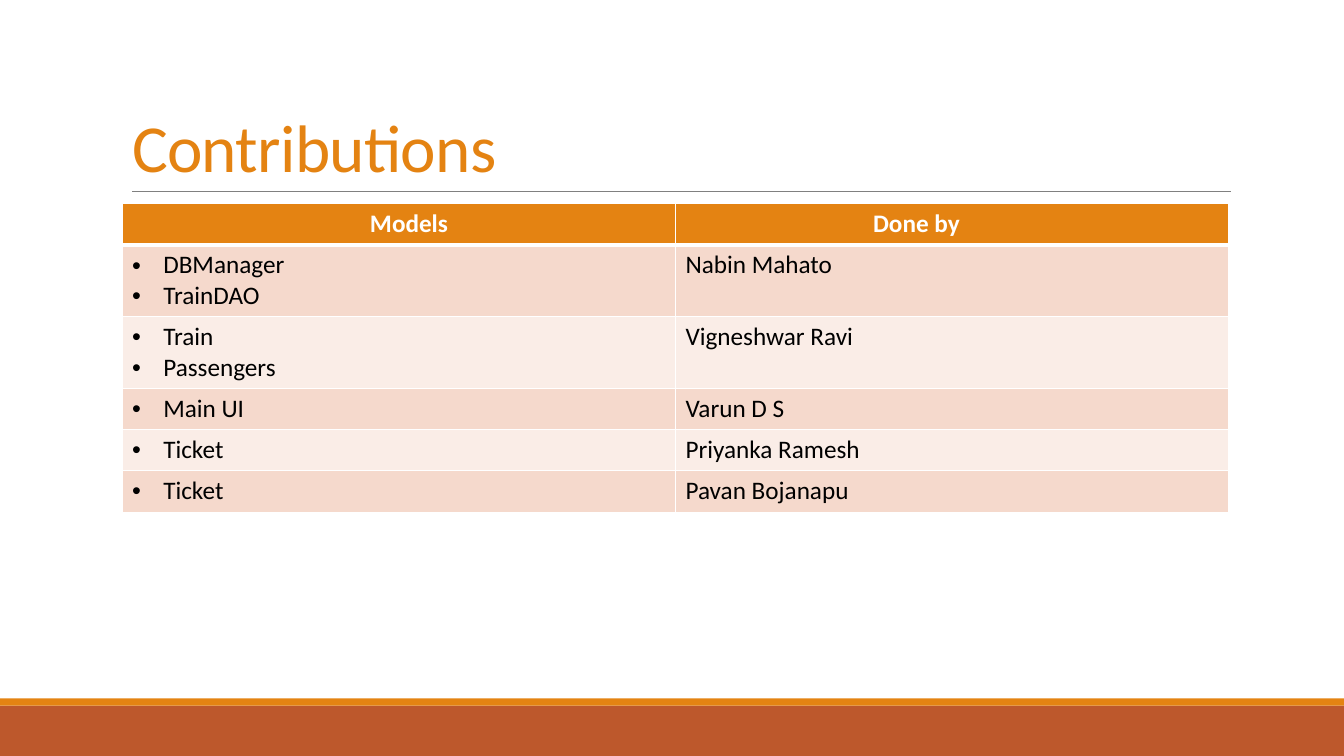
from lxml.etree import SubElement as Sub
from pptx import Presentation
from pptx.dml.color import RGBColor
from pptx.enum.shapes import MSO_CONNECTOR as Link, MSO_SHAPE as Shape
from pptx.enum.text import MSO_ANCHOR as Anchor, PP_ALIGN as Align
from pptx.oxml.ns import qn
from pptx.util import Inches, Pt

ORANGE = RGBColor(0xE4, 0x83, 0x12)
RUST = RGBColor(0xBD, 0x58, 0x2C)
GRAY = RGBColor(0x80, 0x80, 0x80)
WHITE = RGBColor(0xFF, 0xFF, 0xFF)
BLACK = RGBColor(0, 0, 0)
BANDS = [RGBColor(0xFA, 0xED, 0xE7), RGBColor(0xF5, 0xD9, 0xCC)]

WIDE, HIGH = 13.33, 7.5
LEFT, TOP = 1.21, 2.02
COL, ROW, LINE = 5.49, 0.41, 0.3
PAD = 0.1
HEADS = [("Models", 2.46), ("Done by", 1.96)]
TASKS = [
    (["DBManager", "TrainDAO"], "Nabin Mahato"),
    (["Train", "Passengers"], "Vigneshwar Ravi"),
    (["Main UI"], "Varun D S"),
    (["Ticket"], "Priyanka Ramesh"),
    (["Ticket"], "Pavan Bojanapu"),
]


def write(para, text, size, color, bold=False):
    run = para.add_run()
    run.text = text
    font = run.font
    font.name, font.size, font.bold = "Calibri", Pt(size), bold
    font.color.rgb = color
    return run


def paint(cell, color, base):
    props = cell._tc.get_or_add_tcPr()
    for side, width in (("L", 1), ("R", 1), ("T", 1), ("B", base)):
        edge = Sub(props, qn(f"a:ln{side}"), w=str(Pt(width)))
        Sub(Sub(edge, qn("a:solidFill")), qn("a:srgbClr"), val=str(WHITE))
    cell.fill.solid()
    cell.fill.fore_color.rgb = color


deck = Presentation()
deck.slide_width, deck.slide_height = Inches(WIDE), Inches(HIGH)
slide = deck.slides.add_slide(deck.slide_layouts[5])
shapes = slide.shapes

for top, tall, color in ((7, 0.5, RUST), (6.93, 0.07, ORANGE)):
    bar = shapes.add_shape(Shape.RECTANGLE, 0, Inches(top), Inches(WIDE), Inches(tall))
    bar.shadow.inherit = False
    bar.fill.solid()
    bar.fill.fore_color.rgb = color
    bar.line.fill.background()

rule = shapes.add_connector(
    Link.STRAIGHT, Inches(LEFT + PAD), Inches(1.9), Inches(12.21), Inches(1.9))
rule.line.color.rgb = GRAY
rule.line.width = Pt(0.5)
Sub(rule._element.spPr, qn("a:effectLst"))

title = shapes.title
title.left, title.top = Inches(LEFT), Inches(0.31)
title.width, title.height = Inches(2 * COL), Inches(1.59)
frame = title.text_frame
frame.vertical_anchor = Anchor.BOTTOM
frame.word_wrap = True
para = frame.paragraphs[0]
para.alignment = Align.LEFT
para.line_spacing = 0.85
run = write(para, "Contributions", 48, ORANGE)
run.font._element.set("spc", "-50")

count = len(TASKS) + 1
table = shapes.add_table(
    count, 2, Inches(LEFT), Inches(TOP), Inches(2 * COL), Inches(count * ROW)).table
for col in table.columns:
    col.width = Inches(COL)

table.rows[0].height = Inches(ROW)
for col, (head, gap) in enumerate(HEADS):
    cell = table.cell(0, col)
    paint(cell, ORANGE, 3)
    cell.margin_left = Inches(gap)
    write(cell.text_frame.paragraphs[0], head, 18, WHITE, True)

for row, (models, name) in enumerate(TASKS, 1):
    table.rows[row].height = Inches(ROW + LINE * (len(models) - 1))
    for col, lines in enumerate((models, [name])):
        cell = table.cell(row, col)
        paint(cell, BANDS[row % 2], 1)
        frame = cell.text_frame
        for num, text in enumerate(lines):
            para = frame.add_paragraph() if num else frame.paragraphs[0]
            if col == 0:
                props = para._p.get_or_add_pPr()
                props.set("marL", str(Inches(0.31)))
                props.set("indent", str(-Inches(0.31)))
                Sub(props, qn("a:buFont"), typeface="Arial")
                Sub(props, qn("a:buChar"), char="•")
            write(para, text, 18, BLACK)

deck.save("out.pptx")
